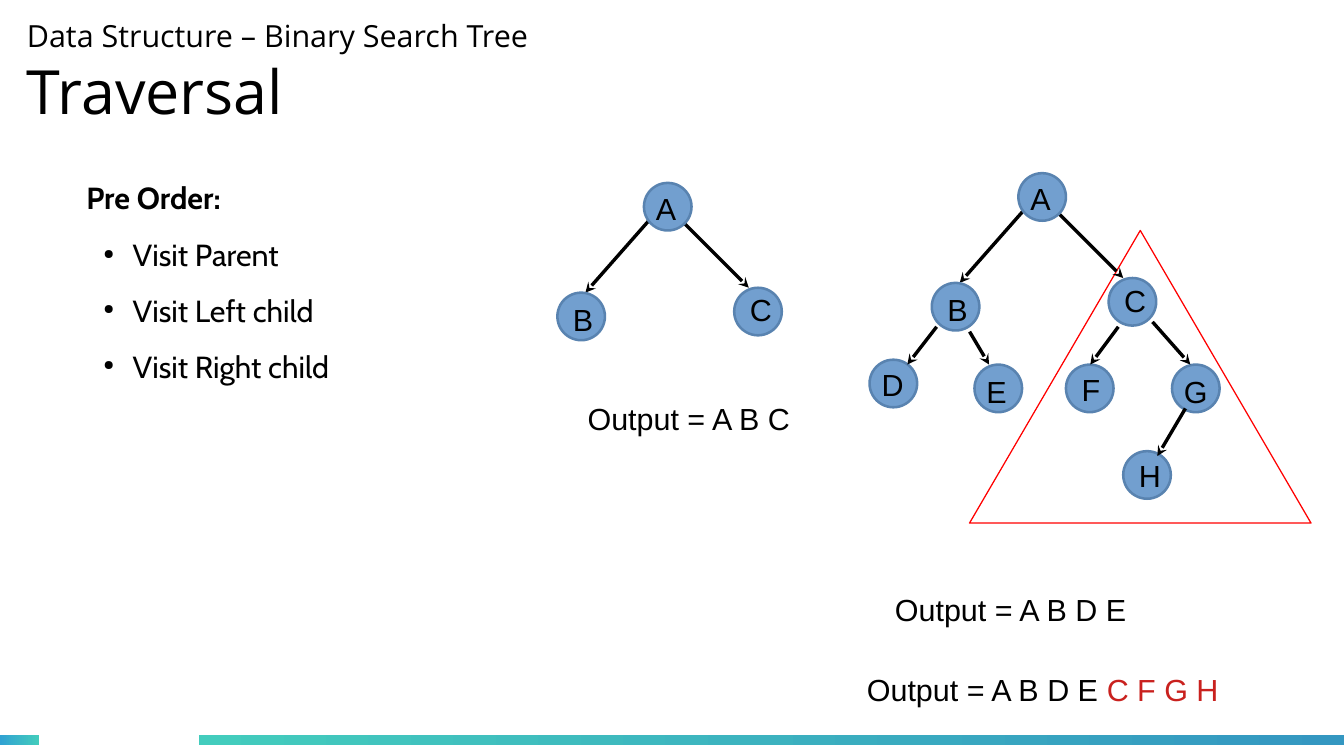
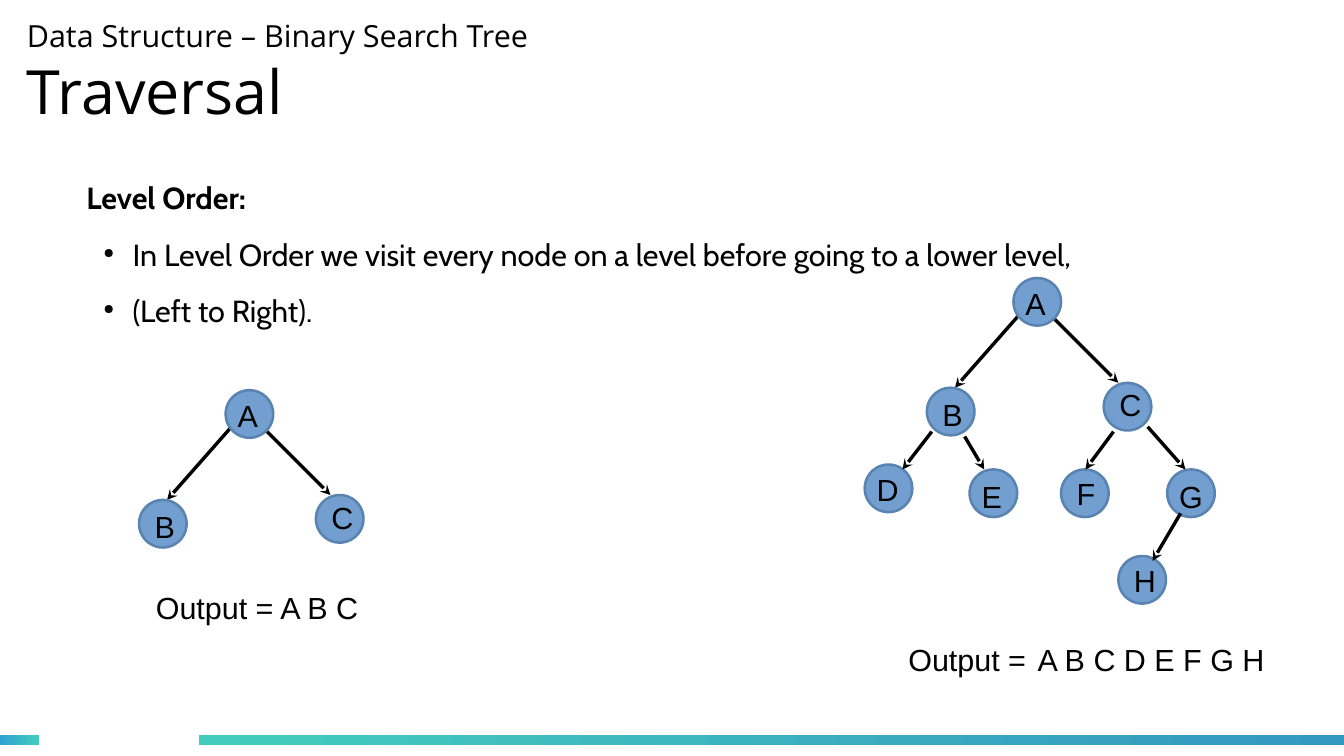
import pptx
import pptx.dml.color
import pptx.enum.shapes
import pptx.enum.text
import pptx.oxml
import pptx.oxml.ns
import pptx.util

# Grid: square cells, 110.2 columns by 62 rows
cell = pptx.util.Inches(0.1)
presentation = pptx.Presentation()
presentation.slide_width = int(110.2 * cell)
presentation.slide_height = 62 * cell
blank_layout = presentation.slide_layouts[6]
shape_types = pptx.enum.shapes.MSO_SHAPE

# Shared formats
subtitle_format = {"name": "Open Sans", "size": pptx.util.Pt(18)}
title_format = {"name": "Open Sans", "size": pptx.util.Pt(36)}
body_format = {"name": "Cabin", "size": pptx.util.Pt(18)}
heading_format = {**body_format, "bold": True}
tree_format = {"name": "Arial", "size": pptx.util.Pt(18)}
bullet_paragraph = {"space_before": pptx.util.Pt(5.7), "space_after": pptx.util.Pt(5.7)}
default_frame = {
    "word_wrap": True,
    "margin_left": cell, "margin_right": cell,
    "margin_top": cell // 2, "margin_bottom": cell // 2,
}
title_frame = {
    **dict.fromkeys(("margin_left", "margin_right", "margin_top", "margin_bottom"), 0),
    "vertical_anchor": pptx.enum.text.MSO_ANCHOR.MIDDLE,
}
bullet_elements = (
    '<a:buClr {0}><a:srgbClr val="000000"/></a:buClr>',
    '<a:buSzPct {0} val="45000"/>',
    '<a:buChar {0} char="●"/>',
)

# Footer bands: left, width, left colour, right colour
bands = [
    (0, 3.2, "30A2D2", "43CCBD"),
    (16.3, 93.9, "43CCBD", "3497C1"),
]

# Tree layout in cells from the root: node left, top, letter shift right, down
node_size = 3.9
nodes = {
    "A": (0, 0, 0, 0.1),
    "B": (-7.1, 9, 0.3, 0.2),
    "C": (7.4, 8.6, 0.3, -0.2),
    "H": (8.6, 22.8, 0.3, 0),
    "G": (12.6, 15.7, 0, 0.2),
    "F": (3.9, 15.7, 0.3, 0),
    "E": (-3.6, 15.7, 0, 0.2),
    "D": (-12.2, 15.3, 0, 0),
}
# Arrows by child node: start column, row, end column, row
root_arrows = {
    "C": (3.1, 3.1, 8.6, 8.6),
    "B": (0.4, 3.1, -4.8, 9),
}
lower_arrows = {
    "G": (11, 12.2, 14.1, 15.7),
    "E": (-4, 13, -2.4, 15.7),
    "D": (-6.7, 12.6, -9.1, 15.7),
    "F": (8.2, 12.6, 5.9, 15.7),
    "H": (13.7, 19.3, 11.4, 23.2),
}

# What differs between the slides
slide_contents = [
    {
        "heading": "Pre Order:",
        "bullets": ["Visit Parent", "Visit Left child", "Visit Right child"],
        "triangle": (79.5, 18.9, 28, 24),
        "trees": [("ABCDEFGH", 83.5, 14.2), ("ABC", 52.8, 15)],
        "outputs": [
            (47.2, 32.3, [("Output = A B C", "000000")]),
            (72.4, 48, [("Output = A B D E", "000000")]),
            (70.1, 54.5, [("Output = A B D E ", "000000"), ("C F G H", "C9211E")]),
        ],
    },
    {
        "heading": "Level Order:",
        "bullets": [
            "In Level Order we visit every node on a level before going to a lower level,",
            "(Left to Right).",
        ],
        "triangle": None,
        "trees": [("ABCDEFGH", 83.1, 22.8), ("ABC", 18.5, 32)],
        "outputs": [
            (11.8, 47.8, [("Output = A B C", "000000")]),
            (73.5, 52.1, [("Output =", "000000")]),
            (84.1, 52.1, [("A B C D E F G H", "000000")]),
        ],
    },
]


def color(value):
    return pptx.dml.color.RGBColor.from_string(value)


def add_text(slide, area, paragraphs, frame_format=None, bulleted=False):
    """Each paragraph is a list of runs: (text, font format, colour)."""
    shape = slide.shapes.add_textbox(*(int(length * cell) for length in area))
    frame = shape.text_frame
    for name, value in {**default_frame, **(frame_format or {})}.items():
        setattr(frame, name, value)
    for index, runs in enumerate(paragraphs):
        paragraph = frame.add_paragraph() if index else frame.paragraphs[0]
        if bulleted:
            properties = paragraph._p.get_or_add_pPr()
            properties.set("marL", str(int(2.4 * cell)))
            properties.set("indent", str(int(-2.4 * cell)))
            for element in bullet_elements:
                namespace = pptx.oxml.ns.nsdecls("a")
                properties.append(pptx.oxml.parse_xml(element.format(namespace)))
            for name, value in bullet_paragraph.items():
                if index or name != "space_before":
                    setattr(paragraph, name, value)
        for text, font_format, text_color in runs:
            run = paragraph.add_run()
            run.text = text
            for name, value in font_format.items():
                setattr(run.font, name, value)
            run.font.color.rgb = color(text_color)


for content in slide_contents:
    slide = presentation.slides.add_slide(blank_layout)

    # Footer bands
    for left, width, *stop_colors in bands:
        area = (left, 60.3, width, 0.8)
        shape = slide.shapes.add_shape(
            shape_types.RECTANGLE, *(int(length * cell) for length in area))
        shape.shadow.inherit = False
        shape.line.fill.background()
        shape.fill.gradient()
        shape.fill.gradient_angle = 0
        for stop, stop_color in zip(shape.fill.gradient_stops, stop_colors):
            stop.color.rgb = color(stop_color)

    # Triangle around the right subtree
    if content["triangle"]:
        shape = slide.shapes.add_shape(
            shape_types.ISOSCELES_TRIANGLE,
            *(int(length * cell) for length in content["triangle"]))
        shape.shadow.inherit = False
        shape.fill.solid()
        shape.fill.fore_color.rgb = color("FFFFFF")
        shape.line.color.rgb = color("FF0000")
        shape.line.width = 0

    # Title, heading and bullets
    add_text(slide, (2.2, 0.8, 76.8, 10.2), [
        [("Data Structure – Binary Search Tree", subtitle_format, "000000")],
        [("Traversal", title_format, "000000")],
    ], title_frame)
    add_text(slide, (6.1, 14.2, 24.6, 4.4),
             [[(content["heading"], heading_format, "000000")]])
    add_text(slide, (7.5, 18.9, 100.4, 4.3 * len(content["bullets"])),
             [[(text, body_format, "000000")] for text in content["bullets"]],
             bulleted=True)

    # Trees: root arrows lie behind the nodes, lower arrows in front
    for letters, root_left, root_top in content["trees"]:
        for arrows in (root_arrows, lower_arrows):
            for child, (start_x, start_y, end_x, end_y) in arrows.items():
                if child not in letters:
                    continue
                points = (root_left + start_x, root_top + start_y,
                          root_left + end_x, root_top + end_y)
                arrow = slide.shapes.add_connector(
                    pptx.enum.shapes.MSO_CONNECTOR.STRAIGHT,
                    *(int(length * cell) for length in points))
                arrow.line.color.rgb = color("000000")
                arrow.line.width = 0
                namespace = pptx.oxml.ns.nsdecls("a")
                arrow.line._get_or_add_ln().append(pptx.oxml.parse_xml(
                    f'<a:tailEnd {namespace} type="stealth"/>'))
                arrow._element.spPr.append(
                    pptx.oxml.parse_xml(f"<a:effectLst {namespace}/>"))
            if arrows is lower_arrows:
                continue
            for letter, (left, top, _, _) in nodes.items():
                if letter not in letters:
                    continue
                area = (root_left + left, root_top + top, node_size, node_size)
                shape = slide.shapes.add_shape(
                    shape_types.OVAL, *(int(length * cell) for length in area))
                shape.shadow.inherit = False
                shape.fill.solid()
                shape.fill.fore_color.rgb = color("729FCF")
                shape.line.color.rgb = color("5983B0")
                shape.line.width = pptx.util.Pt(1.5)
        for letter in letters:
            left, top, shift_x, shift_y = nodes[letter]
            add_text(slide,
                     (root_left + left + shift_x, root_top + top + shift_y, 4, 3.8),
                     [[(letter, tree_format, "000000")]])

    # Traversal results
    for left, top, runs in content["outputs"]:
        width = 3 + 2 * sum(len(text) for text, _ in runs)
        add_text(slide, (left, top, min(width, 110.2 - left), 3.8),
                 [[(text, tree_format, text_color) for text, text_color in runs]])

presentation.save("out.pptx")
